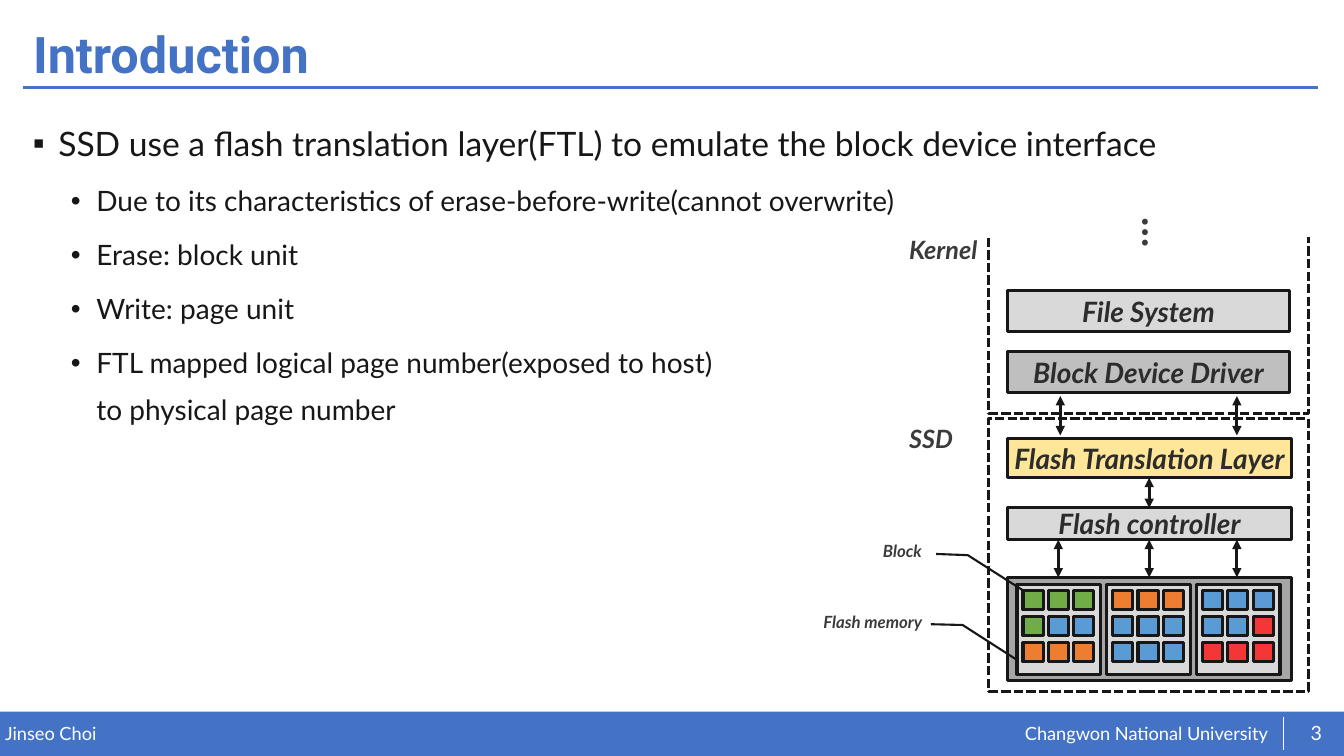
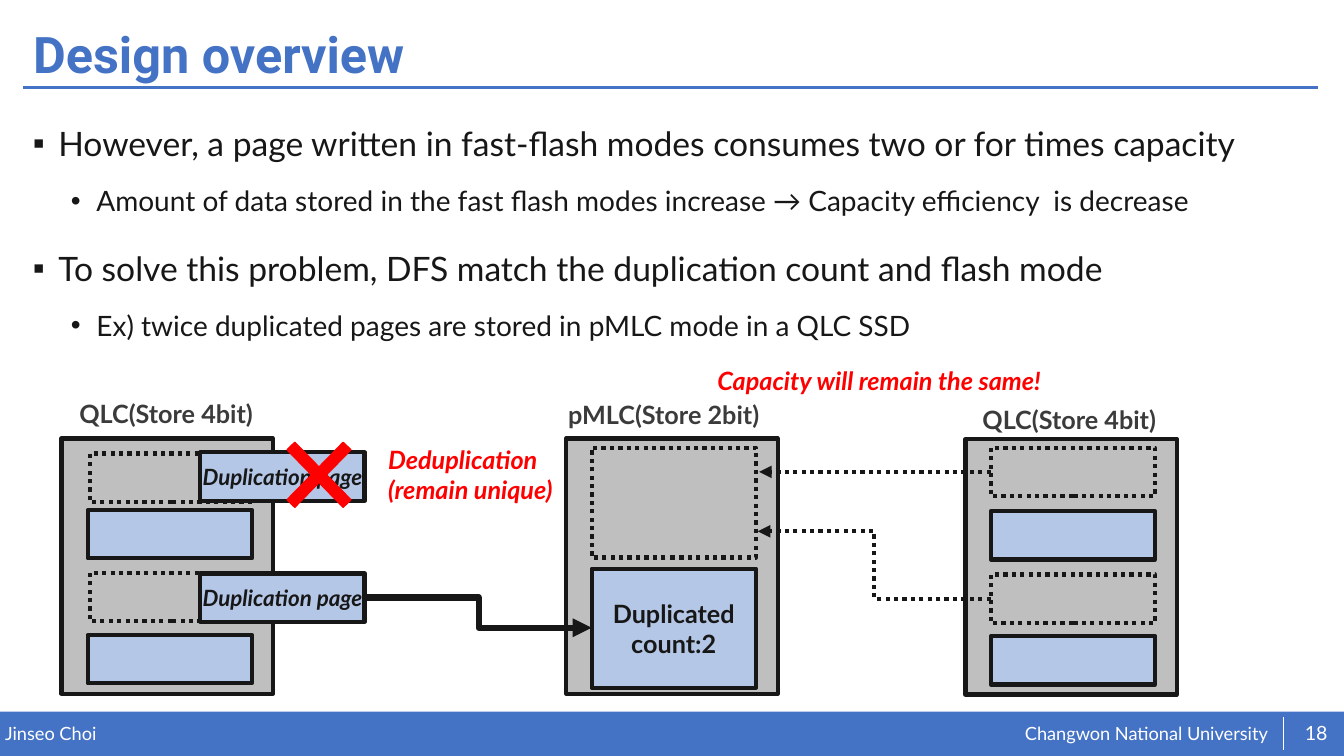
from lxml import etree
from pptx import Presentation
from pptx import util as u
from pptx.dml.color import RGBColor
from pptx.enum import dml, shapes, text
from pptx.oxml.ns import qn

BLUE = RGBColor(0x44, 0x72, 0xC4)
WHITE = RGBColor(0xFF, 0xFF, 0xFF)
INK = RGBColor(0x18, 0x17, 0x17)
LABEL = RGBColor(0x3B, 0x3B, 0x3B)
LAYER_TEXT = RGBColor(0x2C, 0x2C, 0x2C)
LIGHT = RGBColor(0xD9, 0xD9, 0xD9)
MIDDLE = RGBColor(0xBF, 0xBF, 0xBF)
DARK = RGBColor(0xA6, 0xA6, 0xA6)
YELLOW = RGBColor(0xFF, 0xE6, 0x99)
PALE_BLUE = RGBColor(0xB4, 0xC7, 0xE7)
RED = RGBColor(0xFF, 0x00, 0x00)
CELL_COLORS = {
    "G": RGBColor(0x70, 0xAD, 0x47),
    "B": RGBColor(0x5B, 0x9B, 0xD5),
    "O": RGBColor(0xED, 0x7D, 0x31),
    "R": RGBColor(0xF5, 0x36, 0x36),
}

DASH = dml.MSO_LINE.SQUARE_DOT
DOT = dml.MSO_LINE.ROUND_DOT
RECT = shapes.MSO_SHAPE.RECTANGLE
STRAIGHT = shapes.MSO_CONNECTOR.STRAIGHT
ELBOW = shapes.MSO_CONNECTOR.ELBOW
CENTER = text.PP_ALIGN.CENTER
MIDDLE_ANCHOR = text.MSO_ANCHOR.MIDDLE


def style(size, color, bold=False, italic=False, name="Lato"):
    return {"size": u.Pt(size), "name": name, "bold": bold, "italic": italic}, color


TITLE = style(36, BLUE, True, name="Roboto")
FOOTER = style(13, WHITE)
NUMBER = style(14, WHITE)
LAYER = style(20, LAYER_TEXT, True, True)
SIDE = style(18, LABEL, True, True)
CALLOUT = style(12, LABEL, True, True)
ELLIPSIS = style(28, LABEL, True)
HEADING = style(18, LABEL, True)
ALERT = style(18, RED, True, True)
COUNT = style(18, INK, True)
PAGE_LABEL = style(16, INK, True, True)

BULLETS = [
    {"char": "▪", "margin": 0.64, "before": 10, "font": style(24, INK)},
    {"char": "•", "margin": 1.6, "before": 5, "font": style(20, INK)},
]

INTRODUCTION = [
    (0, "SSD use a flash translation layer(FTL) to emulate the block device interface"),
    (1, "Due to its characteristics of erase-before-write(cannot overwrite)"),
    (1, "Erase: block unit"),
    (1, "Write: page unit"),
    (1, "FTL mapped logical page number(exposed to host)\nto physical page number"),
]
DESIGN = [
    (0, "However, a page written in fast-flash modes consumes two or for times capacity"),
    (1, "Amount of data stored in the fast flash modes increase → Capacity efficiency  is decrease"),
    (0, "To solve this problem, DFS match the duplication count and flash mode"),
    (1, "Ex) twice duplicated pages are stored in pMLC mode in a QLC SSD"),
]

HOST_LAYERS = [
    ("File System", (25.4, 7.32, 7.09, 1.04), LIGHT),
    ("Block Device Driver", (25.4, 8.86, 7.09, 1.04), MIDDLE),
]
DEVICE_LAYERS = [
    ("Flash Translation Layer", (25.4, 11.05, 7.14, 0.99), YELLOW),
    ("Flash controller", (25.4, 12.78, 7.14, 0.81), LIGHT),
]
REGIONS = [(24.92, 5.82, 8.05, 4.6), (24.92, 10.54, 8.05, 6.88)]
STACK_LABELS = [
    ("Kernel", (22.66, 5.77, 3.15, 0.99), SIDE),
    ("SSD", (22.66, 10.54, 3.15, 0.99), SIDE),
    ("Block", (22, 13.51, 3.15, 0.76), CALLOUT),
    ("Flash memory", (20.5, 15.29, 3.5, 0.76), CALLOUT),
]
FLASH_BLOCKS = ["GGGGBBOOO", "OOOBBBBBB", "BBBBBRRRR"]
STACK_ARROWS = [
    (9.98, 10.97, (26.72, 31.17)),
    (12.04, 12.8, (28.96,)),
    (13.6, 14.55, (26.67, 28.96, 31.17)),
]
CALLOUT_LINES = [
    [(23.59, 13.96), (24.39, 13.99), (25.77, 14.87)],
    [(23.46, 15.73), (24.26, 15.75), (25.63, 16.63)],
]

PAGE_SIZE = (4.14, 1.22)
PANELS = [(1.55, 11.05), (14.27, 11.05), (24.33, 11.07)]
STORED_PAGES = [(2.21, 12.85), (2.21, 16), (24.97, 12.88), (24.97, 16.03)]
EMPTY_PAGES = [(2.26, 11.43), (2.26, 14.43), (24.97, 11.28), (24.97, 14.48)]
DUPLICATES = [(5.05, 11.4), (5.05, 14.45)]
DESIGN_LABELS = [
    ("Deduplication\n(remain unique)", (9.53, 11.07, 8.79, 1.8), ALERT),
    ("Capacity will remain the same!", (17.83, 9.07, 9.02, 1.02), ALERT),
    ("QLC(Store 4bit)", (1.75, 9.91, 5.33, 1.02), HEADING),
    ("pMLC(Store 2bit)", (14.07, 9.93, 7.52, 1.02), HEADING),
    ("QLC(Store 4bit)", (24.51, 10.06, 5.33, 1.02), HEADING),
]
FLOWS = [
    (ELBOW, (9.22, 15.06, 14.91, 15.82), 4.5, None),
    (ELBOW, (24.97, 15.09, 19.1, 13.39), 3, DOT),
    (STRAIGHT, (24.97, 11.89, 19.13, 11.89), 3, DOT),
]


def cm(values):
    return [u.Cm(value) for value in values]


def format_runs(para, font):
    values, color = font
    for span in para.runs:
        for key, value in values.items():
            setattr(span.font, key, value)
        span.font.color.rgb = color


def fill_text(shape, words, font, align=None, anchor=None, inset=None):
    frame = shape.text_frame
    frame.word_wrap = True
    if anchor is not None:
        frame.vertical_anchor = anchor
    if inset is not None:
        for side in ("left", "top", "right", "bottom"):
            setattr(frame, "margin_" + side, u.Cm(inset))
    frame.text = words
    for para in frame.paragraphs:
        para.alignment = align or text.PP_ALIGN.LEFT
        format_runs(para, font)


def add_label(page, words, at, font, **options):
    box = page.shapes.add_textbox(*cm(at))
    fill_text(box, words, font, **options)
    return box


def set_line(line, color, width, dash=None):
    line.color.rgb = color
    line.width = u.Pt(width)
    if dash is not None:
        line.dash_style = dash


def add_box(page, at, fill=None, width=0, dash=None, kind=RECT, edge=INK):
    box = page.shapes.add_shape(kind, *cm(at))
    box.shadow.inherit = False
    if fill is None:
        box.fill.background()
    else:
        box.fill.solid()
        box.fill.fore_color.rgb = fill
    if width:
        set_line(box.line, edge, width, dash)
    else:
        box.line.fill.background()
    return box


def add_line(page, ends, color, width, dash=None, kind=STRAIGHT, arrows=()):
    link = page.shapes.add_connector(kind, *cm(ends))
    set_line(link.line, color, width, dash)
    outline = link.element.spPr.find(qn("a:ln"))
    for end in arrows:
        etree.SubElement(outline, qn("a:" + end), type="triangle")
    etree.SubElement(link.element.spPr, qn("a:effectLst"))
    return link


def add_frame(page, layout):
    parts = [
        add_box(page, (0, 17.93, 33.87, 1.12), BLUE),
        add_label(page, "Changwon National University", (25.83, 18.19, 6.78, 0.58), FOOTER, inset=0),
        add_label(page, "Jinseo Choi", (0.13, 18.21, 16.64, 0.56), FOOTER, inset=0),
        add_line(page, (0.58, 2.21, 33.22, 2.21), BLUE, 2),
        add_line(page, (32.33, 18.06, 32.33, 18.9), WHITE, 0.5),
    ]
    for index, part in enumerate(parts):
        part.element.xpath(".//p:cNvPr")[0].set("id", str(100 + index))
        layout.shapes.element.append(part.element)


def add_content(page, title, number, bullets):
    heading = page.shapes.title
    heading.left, heading.top, heading.width, heading.height = cm((0.58, 0.46, 32.66, 1.96))
    fill_text(heading, title, TITLE, anchor=MIDDLE_ANCHOR)
    heading.text_frame.auto_size = text.MSO_AUTO_SIZE.NONE
    heading.text_frame.paragraphs[0].line_spacing = 0.9

    frame = page.shapes.add_textbox(*cm((0.58, 2.57, 32.66, 14.3))).text_frame
    frame.word_wrap = True
    for index, (level, words) in enumerate(bullets):
        look = BULLETS[level]
        para = frame.add_paragraph() if index else frame.paragraphs[0]
        para.text = words
        para.level = level
        props = para._p.get_or_add_pPr()
        props.set("marL", str(u.Cm(look["margin"])))
        props.set("indent", str(-u.Cm(0.64)))
        etree.SubElement(props, qn("a:buFont"), typeface="Arial")
        etree.SubElement(props, qn("a:buChar"), char=look["char"])
        para.line_spacing = 1.4
        para.space_before = u.Pt(look["before"] if index else 0)
        format_runs(para, look["font"])
    add_label(page, number, (32.56, 17.96, 1.22, 1.02), NUMBER,
              align=CENTER, anchor=MIDDLE_ANCHOR, inset=0)


def draw_stack(page):
    for region in REGIONS:
        add_box(page, region, width=2.25, dash=DASH)
    add_box(page, (24.74, 5.49, 8.86, 0.48), WHITE)
    for words, at, fill in HOST_LAYERS + DEVICE_LAYERS:
        box = add_box(page, at, fill, 2.25)
        fill_text(box, words, LAYER, CENTER, MIDDLE_ANCHOR, 0)
    add_label(page, "…", (28.5, 5.18, 1.35, 1.45), ELLIPSIS).rotation = 90

    add_box(page, (25.4, 14.55, 7.14, 2.59), DARK, 2.25)
    for column, cells in enumerate(FLASH_BLOCKS):
        left, top = 25.63 + 2.26 * column, 14.73
        add_box(page, (left, top, 2.11, 2.26), LIGHT, 2.25)
        for index, cell in enumerate(cells):
            row, place = divmod(index, 3)
            at = (left + 0.15 + 0.64 * place, top + 0.15 + 0.66 * row, 0.51, 0.48)
            add_box(page, at, CELL_COLORS[cell], 2.25)

    for top, bottom, places in STACK_ARROWS:
        for x in places:
            add_line(page, (x, top, x, bottom), INK, 2.25, arrows=("headEnd", "tailEnd"))
    for points in CALLOUT_LINES:
        start, *rest = [cm(point) for point in points]
        builder = page.shapes.build_freeform(*start)
        builder.add_line_segments(rest, close=False)
        pointer = builder.convert_to_shape()
        pointer.shadow.inherit = False
        pointer.fill.background()
        set_line(pointer.line, INK, 1.5)
    for words, at, font in STACK_LABELS:
        add_label(page, words, at, font)


def draw_modes(page):
    for place in PANELS:
        add_box(page, place + (5.33, 6.43), MIDDLE, 3)
    for place in STORED_PAGES:
        add_box(page, place + PAGE_SIZE, PALE_BLUE, 3)
    for place in EMPTY_PAGES:
        add_box(page, place + PAGE_SIZE, width=3, dash=DOT)
    add_box(page, (14.91, 11.28, 4.14, 2.77), width=3, dash=DOT)
    count = add_box(page, (14.91, 14.33, 4.14, 3), PALE_BLUE, 3)
    fill_text(count, "Duplicated count:2", COUNT, CENTER, MIDDLE_ANCHOR, 0)
    for place in DUPLICATES:
        box = add_box(page, place + PAGE_SIZE, PALE_BLUE, 3)
        fill_text(box, "Duplication page", PAGE_LABEL, CENTER, MIDDLE_ANCHOR, 0)
    cross = add_box(page, (6.68, 10.57, 2.72, 2.79), RED, 1,
                    kind=shapes.MSO_SHAPE.MATH_MULTIPLY, edge=RED)
    cross.adjustments[0] = 0.1
    for kind, ends, width, dash in FLOWS:
        add_line(page, ends, INK, width, dash, kind, ("tailEnd",))
    for words, at, font in DESIGN_LABELS:
        add_label(page, words, at, font)


SLIDES = [
    ("Introduction", "3", INTRODUCTION, draw_stack),
    ("Design overview", "18", DESIGN, draw_modes),
]


def main():
    deck = Presentation()
    deck.slide_width, deck.slide_height = cm((33.87, 19.05))
    layout = deck.slide_layouts[5]
    for index, (title, number, bullets, draw) in enumerate(SLIDES):
        page = deck.slides.add_slide(layout)
        if index == 0:
            add_frame(page, layout)
        add_content(page, title, number, bullets)
        draw(page)
    deck.save("out.pptx")


if __name__ == "__main__":
    main()
